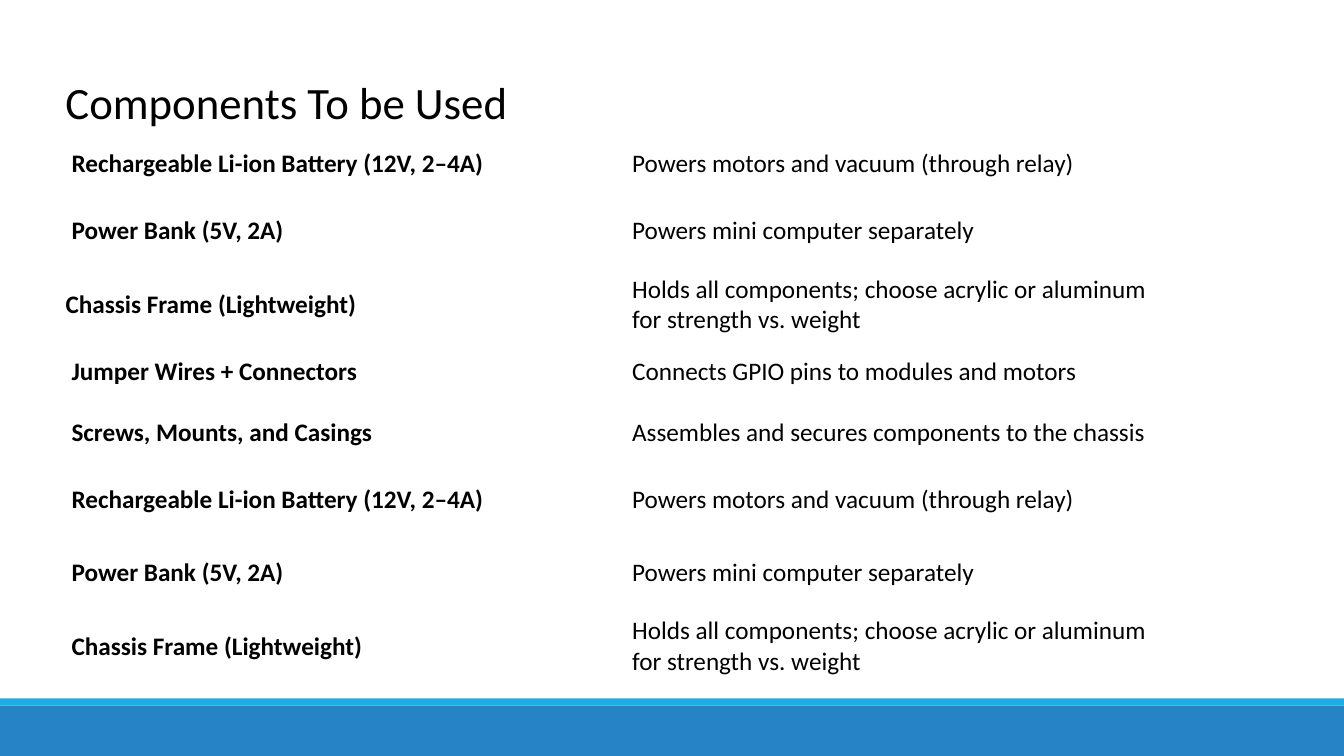
from pptx import Presentation
from pptx.dml.color import RGBColor
from pptx.enum.shapes import MSO_SHAPE
from pptx.enum.text import MSO_ANCHOR, MSO_AUTO_SIZE
from pptx.util import Inches, Pt

RECT = MSO_SHAPE.RECTANGLE
MIDDLE = MSO_ANCHOR.MIDDLE
GROW = MSO_AUTO_SIZE.SHAPE_TO_FIT_TEXT

THEME = {
    "font": "Calibri", "title": Pt(32), "body": Pt(18),
    "text": RGBColor(0, 0, 0),
    "base": RGBColor(0x26, 0x83, 0xC6),
    "accent": RGBColor(0x1C, 0xAD, 0xE4),
}
WIDE, HIGH = 13.33, 7.5
LEFT, TOP, COL = 0.55, 1.33, 5.62
LOW, TALL = 0.6, 0.73
PAD, INDENT = 0.1, 0.06

prs = Presentation()
prs.slide_width, prs.slide_height = Inches(WIDE), Inches(HIGH)
slide = prs.slides.add_slide(prs.slide_layouts[6])


def add_run(frame, text, size, bold=False):
    run = frame.paragraphs[0].add_run()
    run.text = text
    font = run.font
    font.name, font.size, font.bold = THEME["font"], size, bold
    font.color.rgb = THEME["text"]


# Footer bands
for top, high, color in [(7, 0.5, "base"), (6.93, 0.07, "accent")]:
    band = slide.shapes.add_shape(RECT, 0, Inches(top), prs.slide_width, Inches(high))
    band.shadow.inherit = False
    band.fill.solid()
    band.fill.fore_color.rgb = THEME[color]
    band.line.fill.background()

# Title
title = slide.shapes.add_textbox(Inches(LEFT), Inches(0.69), Inches(6.91), Inches(0.64))
title.text_frame.word_wrap = True
title.text_frame.auto_size = GROW
add_run(title.text_frame, "Components To be Used", THEME["title"])

# Parts and their roles; the first three come round again at the end
parts = [
    ("Rechargeable Li-ion Battery (12V, 2–4A)", "Powers motors and vacuum (through relay)"),
    ("Power Bank (5V, 2A)", "Powers mini computer separately"),
    ("Chassis Frame (Lightweight)",
     "Holds all components; choose acrylic or aluminum for strength vs. weight"),
    ("Jumper Wires + Connectors", "Connects GPIO pins to modules and motors"),
    ("Screws, Mounts, and Casings", "Assembles and secures components to the chassis"),
]
rows = parts + parts[:3]
flush = 2
heights = [LOW if i in (0, 3, 4) else TALL for i in range(len(rows))]

# Table
table = slide.shapes.add_table(
    len(rows), 2, Inches(LEFT), Inches(TOP), Inches(2 * COL), Inches(sum(heights))).table
table.first_row = table.horz_banding = False
for col in table.columns:
    col.width = Inches(COL)
for i, (row, high) in enumerate(zip(rows, heights)):
    table.rows[i].height = Inches(high)
    for j, text in enumerate(row):
        cell = table.cell(i, j)
        cell.fill.background()
        cell.vertical_anchor = MIDDLE
        name = j == 0
        cell.margin_left = Inches(PAD + INDENT if name and i != flush else PAD)
        add_run(cell.text_frame, text, THEME["body"], name)

prs.save("out.pptx")
